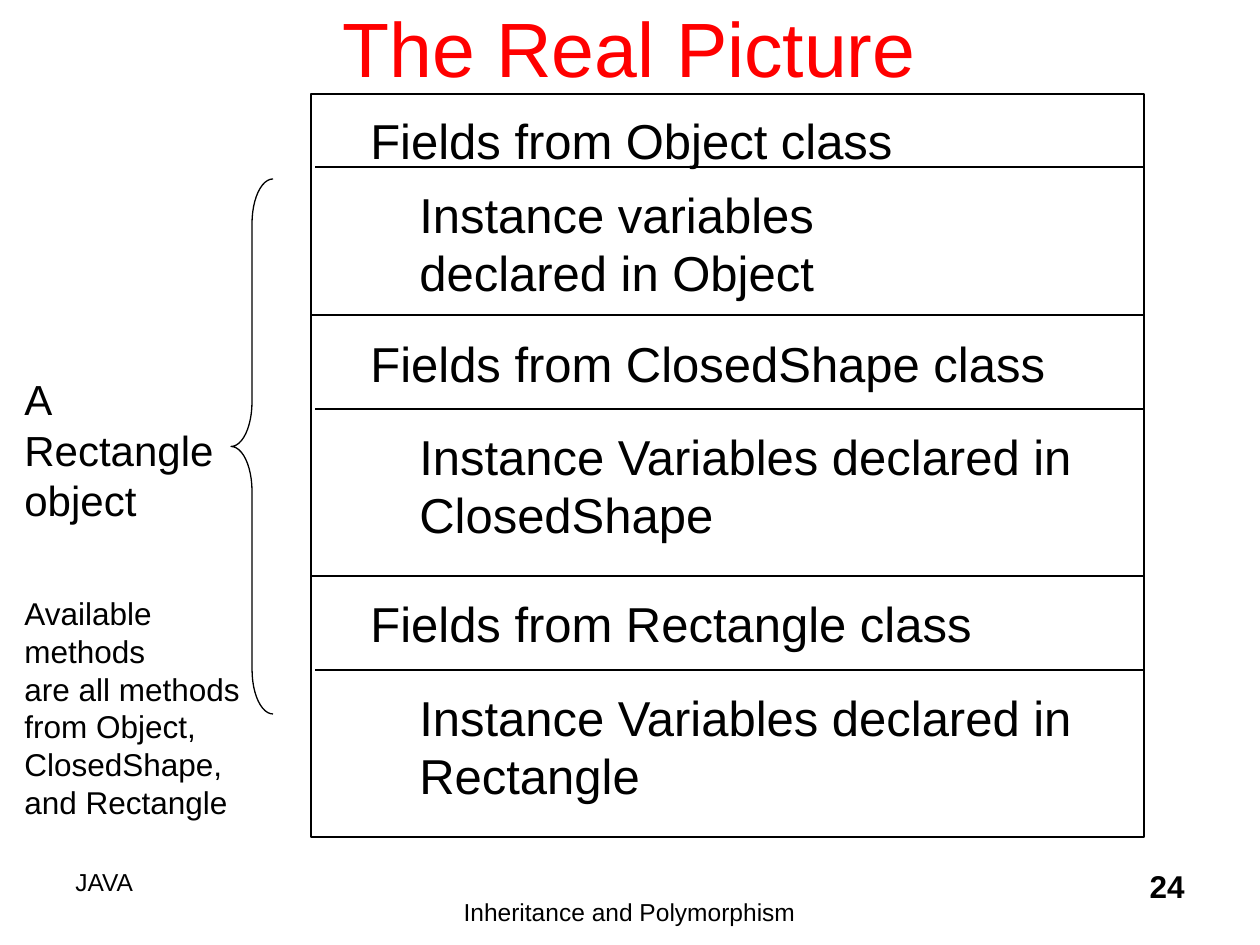
from dataclasses import dataclass

from lxml import etree
from pptx import Presentation, util as u
from pptx.dml.color import RGBColor
from pptx.enum import shapes, text
from pptx.oxml.ns import qn

SCALE = u.Inches(1) / 126


@dataclass(frozen=True)
class Theme:
    font: str = "Arial"
    ink: RGBColor = RGBColor(0, 0, 0)
    accent: RGBColor = RGBColor(255, 0, 0)
    title: int = 44
    body: int = 28
    label: int = 24
    note: int = 18
    footer: int = 14
    line: float = 0.75


THEME = Theme()


def px(*lengths):
    return [round(length * SCALE) for length in lengths]


def write(slide, box, words, size, color=THEME.ink, align=text.PP_ALIGN.LEFT,
          bold=False, before=0, wrap=True, middle=False, inset_top=6):
    frame = slide.shapes.add_textbox(*px(*box)).text_frame
    frame.word_wrap = wrap
    frame.margin_top, = px(inset_top)
    frame.vertical_anchor = text.MSO_ANCHOR.MIDDLE if middle else text.MSO_ANCHOR.TOP
    frame.text = words
    for paragraph in frame.paragraphs:
        paragraph.alignment = align
        paragraph.space_before = u.Pt(before)
        for run in paragraph.runs:
            run.font.name = THEME.font
            run.font.size = u.Pt(size)
            run.font.bold = bold
            run.font.color.rgb = color


def outline(part):
    part.line.color.rgb = THEME.ink
    part.line.width = u.Pt(THEME.line)


def draw_shape(slide, kind, box):
    part = slide.shapes.add_shape(kind, *px(*box))
    part.shadow.inherit = False
    part.fill.background()
    outline(part)
    return part


def draw_divider(slide, left, right, y):
    divider = slide.shapes.add_connector(
        shapes.MSO_CONNECTOR.STRAIGHT, *px(left, y, right, y))
    outline(divider)
    etree.SubElement(divider._element.spPr, qn("a:effectLst"))


def draw_class_section(slide, box, heading, heading_width, detail, detail_width,
                       heading_y, divider_y):
    left, top, width, height = box
    draw_shape(slide, shapes.MSO_SHAPE.RECTANGLE, box)
    write(slide, (left + 47, top + heading_y, heading_width, 72), heading,
          THEME.body, before=7)
    draw_divider(slide, left + 4, left + width, top + divider_y)
    write(slide, (left + 96, top + divider_y + 11, detail_width, 131), detail,
          THEME.body, before=7)


def draw_memory_layout(slide, box):
    left, top, width, height = box
    object_height = 221
    subclass_height = (height - object_height) // 2
    draw_class_section(
        slide, (left, top, width, object_height),
        "Fields from Object class", 556,
        "Instance variables declared in Object", 527, 10, 73)
    for index, (name, heading_width) in enumerate(
            [("ClosedShape", 712), ("Rectangle", 636)]):
        section_top = top + object_height + index * subclass_height
        draw_class_section(
            slide, (left, section_top, width, subclass_height),
            f"Fields from {name} class", heading_width,
            f"Instance Variables declared in {name}", 696, 12, 94)


def draw_object_summary(slide, box):
    left, top, width, height = box
    brace = draw_shape(slide, shapes.MSO_SHAPE.LEFT_BRACE,
                       (left + width - 42, top, 42, height))
    brace.adjustments[0] = 1.06
    brace.adjustments[1] = 0.5
    write(slide, (left, top + 189, 220, 164), "A\vRectangle\vobject",
          THEME.label, before=6, wrap=False)
    write(slide, (left, top + 409, 248, 239),
          "Available\vmethods\vare all methods\vfrom Object,\v"
          "ClosedShape,\vand Rectangle",
          THEME.note, wrap=False)


def draw_footer(slide, box):
    left, top, width, height = box
    write(slide, (left, top, 315, height), "JAVA", THEME.footer)
    write(slide, (left + 325, top, 483, height), "Inheritance and Polymorphism",
          THEME.footer, align=text.PP_ALIGN.CENTER, inset_top=36)
    write(slide, (left + width - 262, top, 262, height), "24", THEME.note,
          align=text.PP_ALIGN.RIGHT, bold=True)


def main():
    deck = Presentation()
    deck.slide_width, deck.slide_height = px(1260, 945)
    slide = deck.slides.add_slide(deck.slide_layouts[6])
    draw_footer(slide, (63, 861, 1134, 63))
    write(slide, (94, -32, 1071, 157), "The Real Picture", THEME.title,
          THEME.accent, text.PP_ALIGN.CENTER, middle=True)
    draw_memory_layout(slide, (311, 94, 833, 744))
    draw_object_summary(slide, (12, 179, 261, 535))
    deck.save("out.pptx")


if __name__ == "__main__":
    main()
